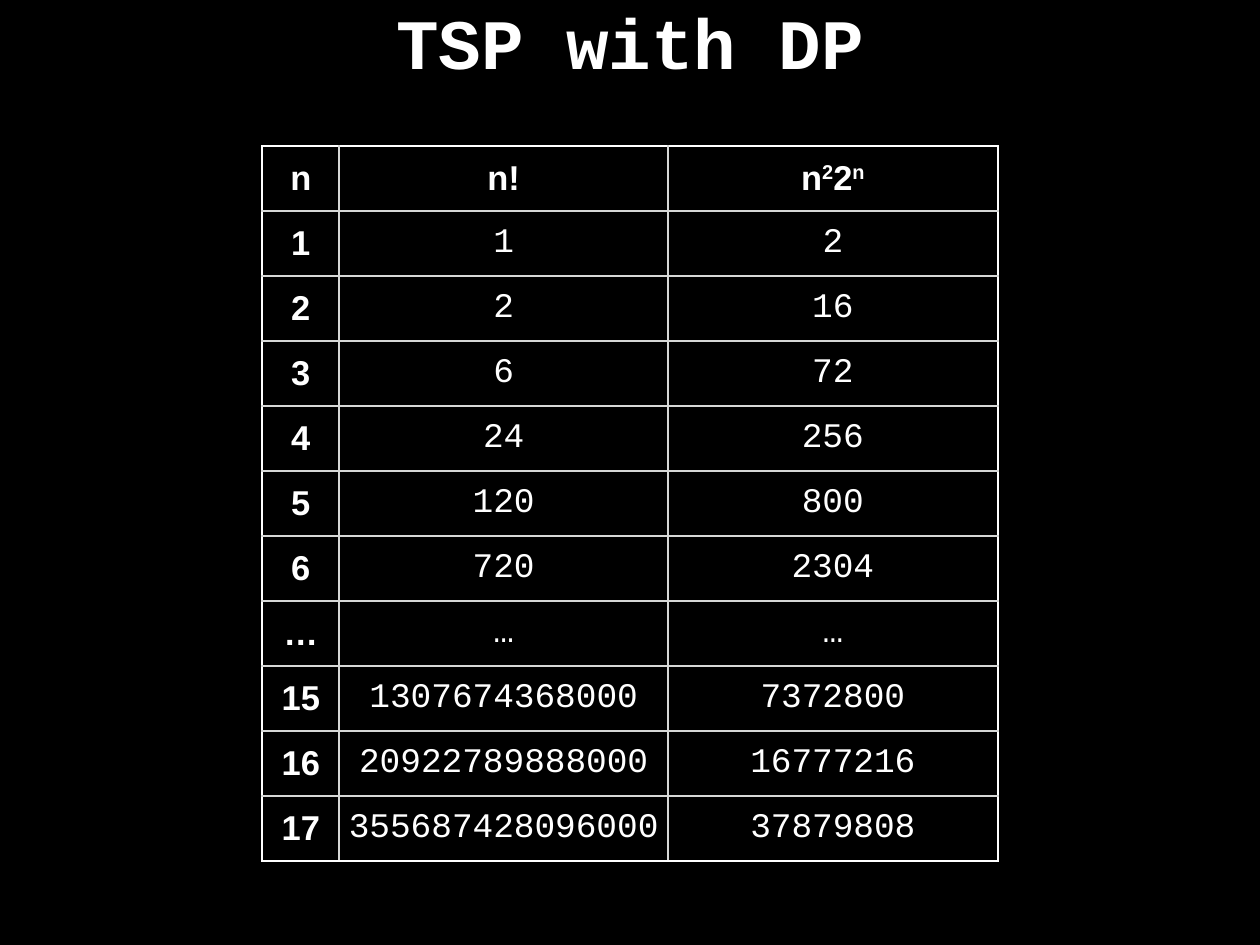
from dataclasses import dataclass
from math import factorial

from lxml.etree import SubElement
from pptx import Presentation
from pptx.dml.color import RGBColor
from pptx.enum.text import MSO_ANCHOR, PP_ALIGN
from pptx.oxml.ns import qn
from pptx.util import Inches, Pt


@dataclass(frozen=True)
class Theme:
    background: str = "000000"
    text: str = "FFFFFF"
    frame: str = "FFFFFF"
    grid: str = "D6D7D6"
    label_font: str = "Arial"
    mono_font: str = "Courier New"
    title_size: float = 57.6
    cell_size: float = 28
    line_width: float = 2
    superscript: int = 32000
    margin: float = 0.06


THEME = Theme()
COLUMN_WIDTHS = [0.87, 3.71, 3.72]
TABLE_HEIGHT = 8.07
HEADER = [[("n", False)],
          [("n!", False)],
          [("n", False), ("2", True), ("2", False), ("n", True)]]
ELLIPSIS = "…"
SIZES = [1, 2, 3, 4, 5, 6, ELLIPSIS, 15, 16, 17]


def growth_row(n):
    if n == ELLIPSIS:
        return [ELLIPSIS] * 3
    return [str(n), str(factorial(n)), str(n ** 2 * 2 ** n)]


def add_run(p, text, font, size, bold, raised=False):
    r = p.add_run()
    r.text = text
    r.font.name = font
    r.font.size = Pt(size)
    r.font.bold = bold
    r.font.color.rgb = RGBColor.from_string(THEME.text)
    if raised:
        r.font._element.set("baseline", str(THEME.superscript))


def set_margins(box):
    box.margin_left = box.margin_right = Inches(THEME.margin)
    box.margin_top = box.margin_bottom = Inches(THEME.margin)


def add_title(slide, text):
    sp = slide.shapes.add_textbox(Inches(1.04), Inches(-0.06), Inches(12.14), Inches(1.04))
    tf = sp.text_frame
    tf.word_wrap = True
    tf.vertical_anchor = MSO_ANCHOR.MIDDLE
    set_margins(tf)
    p = tf.paragraphs[0]
    p.alignment = PP_ALIGN.CENTER
    add_run(p, text, THEME.mono_font, THEME.title_size, True)


def set_border(cell, side, color):
    ln = SubElement(cell._tc.get_or_add_tcPr(), qn(f"a:ln{side}"), w=str(Pt(THEME.line_width)))
    fill = SubElement(ln, qn("a:solidFill"))
    SubElement(fill, qn("a:srgbClr"), val=color)


def style_cell(cell, on_edge):
    set_margins(cell)
    cell.vertical_anchor = MSO_ANCHOR.MIDDLE
    for side, outer in on_edge.items():
        set_border(cell, side, THEME.frame if outer else THEME.grid)
    cell.fill.solid()
    cell.fill.fore_color.rgb = RGBColor.from_string(THEME.background)


def add_growth_table(slide):
    rows = [HEADER] + [[[(value, False)] for value in growth_row(n)] for n in SIZES]
    last_row, last_col = len(rows) - 1, len(COLUMN_WIDTHS) - 1
    frame = slide.shapes.add_table(len(rows), len(COLUMN_WIDTHS), Inches(2.96), Inches(1.65),
                                   Inches(sum(COLUMN_WIDTHS)), Inches(TABLE_HEIGHT))
    table = frame.table
    table.first_row = table.horz_banding = False
    for column, width in zip(table.columns, COLUMN_WIDTHS):
        column.width = Inches(width)
    for i, row in enumerate(rows):
        for j, parts in enumerate(row):
            cell = table.cell(i, j)
            style_cell(cell, {"L": j == 0, "R": j == last_col, "T": i == 0, "B": i == last_row})
            label = i == 0 or j == 0
            font = THEME.label_font if label else THEME.mono_font
            p = cell.text_frame.paragraphs[0]
            p.alignment = PP_ALIGN.CENTER
            for text, raised in parts:
                add_run(p, text, font, THEME.cell_size, label, raised)


def main():
    prs = Presentation()
    prs.slide_width, prs.slide_height = Inches(14.22), Inches(10.67)
    slide = prs.slides.add_slide(prs.slide_layouts[6])
    slide.background.fill.solid()
    slide.background.fill.fore_color.rgb = RGBColor.from_string(THEME.background)
    add_title(slide, "TSP with DP")
    add_growth_table(slide)
    prs.save("out.pptx")


if __name__ == "__main__":
    main()
